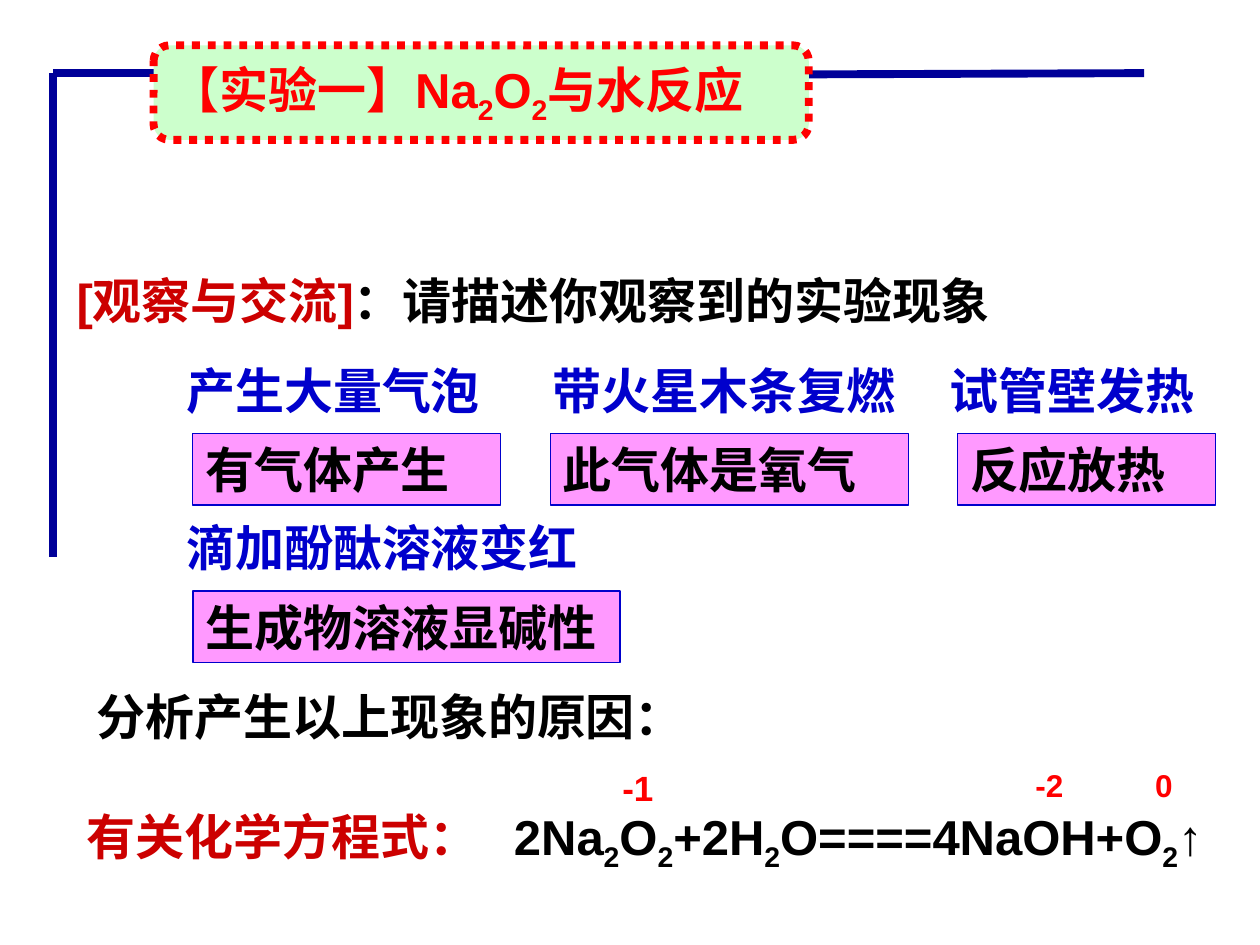
from lxml import etree
from pptx import Presentation
from pptx import util as u
from pptx.dml import color
from pptx.enum import dml, shapes, text
from pptx.oxml import ns

Pt = u.Pt
COLORS = {
    "black": "000000", "red": "FF0000", "dark red": "CC0000", "blue": "0000CC",
    "navy": "000099", "pink": "FF99FF", "green": "CCFFCC",
}

deck = Presentation()
deck.slide_width, deck.slide_height = Pt(720), Pt(540)
page = deck.slides.add_slide(deck.slide_layouts[6])


def rgb(name):
    return color.RGBColor.from_string(COLORS[name])


def write(box, *runs, size=28, wrap=True, anchor=text.MSO_ANCHOR.TOP):
    """Write (wording, colour) runs; parts between underscores are subscripts."""
    frame = box.text_frame
    frame.word_wrap = wrap
    frame.vertical_anchor = anchor
    para = frame.paragraphs[0]
    para.alignment = text.PP_ALIGN.LEFT
    for wording, tint in runs:
        for index, part in enumerate(wording.split("_")):
            span = para.add_run()
            span.text = part
            span.font.name = "Arial"
            span.font.size = Pt(size)
            span.font.bold = True
            span.font.color.rgb = rgb(tint)
            if index % 2:
                span.font._element.set("baseline", "-25000")


# Plain text: left, top, width, height, size, wrap, runs
labels = [
    (36.7, 151.2, 677.5, 41, 28, True,
     [("[观察与交流]", "dark red"), ("：请描述你观察到的实验现象", "black")]),
    (99.4, 202.3, 209.5, 41, 28, True, [("产生大量气泡", "blue")]),
    (308.9, 202.3, 254.9, 41, 28, True, [("带火星木条复燃", "blue")]),
    (535.7, 202.3, 164.2, 41, 28, True, [("试管壁发热", "blue")]),
    (99.4, 292.3, 272.2, 41, 28, True, [("滴加酚酞溶液变红", "blue")]),
    (48.2, 388.8, 391, 41, 28, True, [("分析产生以上现象的原因：", "black")]),
    (42.5, 457.2, 260.6, 41, 28, True, [("有关化学方程式：", "dark red")]),
    (286.6, 457.2, 433.4, 45.4, 28, True,
     [("2Na_2_O_2_+2H_2_O====4NaOH+O_2_↑", "black")]),
    # Oxidation numbers above the equation
    (348.5, 434.2, 85, 31.7, 20, True, [("-1", "red")]),
    (584.6, 434.2, 30.2, 28.8, 18, False, [("-2", "red")]),
    (653, 434.2, 24.5, 28.8, 18, False, [("0", "red")]),
]
for left, top, width, height, size, wrap, runs in labels:
    box = page.shapes.add_textbox(Pt(left), Pt(top), Pt(width), Pt(height))
    write(box, *runs, size=size, wrap=wrap)

# Conclusions in pink boxes
conclusions = [
    (110.2, 247.7, 175.7, "有气体产生"),
    (314.6, 247.7, 204.5, "此气体是氧气"),
    (547.2, 247.7, 147.6, "反应放热"),
    (110.2, 337.7, 244.1, "生成物溶液显碱性"),
]
for left, top, width, wording in conclusions:
    box = page.shapes.add_shape(
        shapes.MSO_SHAPE.RECTANGLE, Pt(left), Pt(top), Pt(width), Pt(41))
    box.shadow.inherit = False
    box.fill.solid()
    box.fill.fore_color.rgb = rgb("pink")
    box.line.color.rgb = rgb("blue")
    box.line.width = Pt(0.75)
    write(box, (wording, "black"))

# Frame lines
frame_lines = [
    (30.2, 41.8, 30.2, 318.2),
    (275, 43.2, 653.8, 41.8),
    (30.2, 41.8, 90, 41.8),
]
for ends in frame_lines:
    line = page.shapes.add_connector(
        shapes.MSO_CONNECTOR.STRAIGHT, *[Pt(end) for end in ends])
    line.line.color.rgb = rgb("navy")
    line.line.width = Pt(4.5)
    etree.SubElement(line._element.spPr, ns.qn("a:effectLst"))

# Title
title = page.shapes.add_shape(
    shapes.MSO_SHAPE.ROUNDED_RECTANGLE, Pt(87.8), Pt(25.9), Pt(374.4), Pt(54))
title.shadow.inherit = False
title.fill.solid()
title.fill.fore_color.rgb = rgb("green")
title.line.color.rgb = rgb("red")
title.line.width = Pt(4.5)
title.line.dash_style = dml.MSO_LINE.ROUND_DOT
write(title, ("【实验一】Na_2_O_2_与水反应", "red"), anchor=text.MSO_ANCHOR.MIDDLE)

deck.save("out.pptx")
